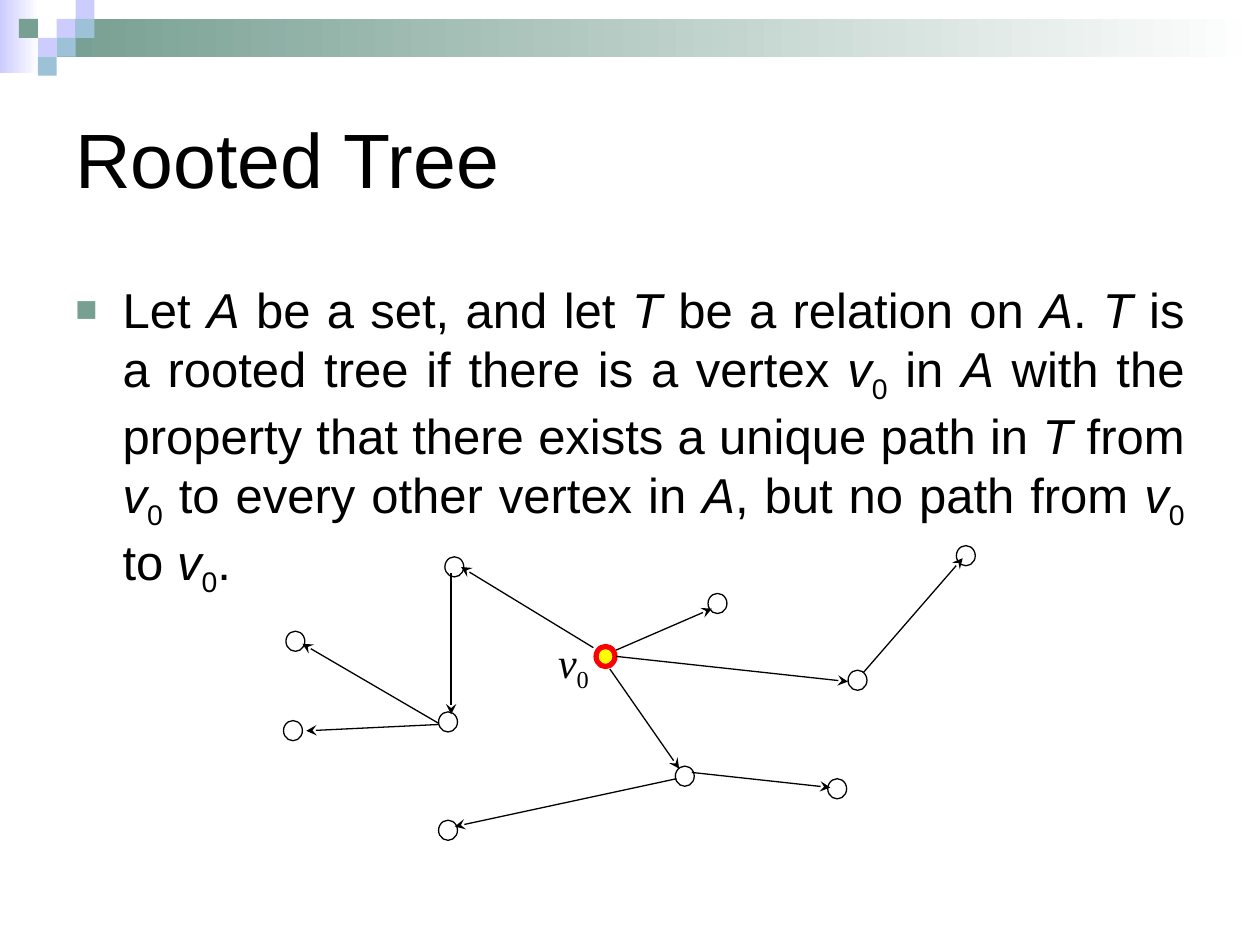
"""Build the Rooted Tree slide."""
from typing import NamedTuple

from lxml.etree import SubElement
from pptx import Presentation
from pptx.dml.color import RGBColor
from pptx.enum.shapes import MSO_CONNECTOR as Connector, MSO_SHAPE as Preset
from pptx.enum.text import MSO_ANCHOR as Anchor, PP_ALIGN as Align
from pptx.oxml.ns import qn
from pptx.util import Pt

COLORS = {
    "black": "000000", "white": "FFFFFF", "red": "FF0000", "yellow": "FFFF00",
    "lilac": "CCCCFF", "green": "779F92", "blue": "9DC2D7",
}
TILE = 10.8
VERTEX_WIDTH, VERTEX_HEIGHT = 10.8, 11.5


class Box(NamedTuple):
    left: float
    top: float
    width: float
    height: float


class Band(NamedTuple):
    box: Box
    color: str


class Tile(NamedTuple):
    column: int
    row: int
    color: str


class Vertex(NamedTuple):
    left: float
    top: float
    fill: str = "white"
    line: str = "black"
    weight: float = 0.74


class Edge(NamedTuple):
    start_x: float
    start_y: float
    end_x: float
    end_y: float


class Piece(NamedTuple):
    text: str
    italic: bool = False
    baseline: int = 0


class Style(NamedTuple):
    font: str
    size: float
    space_before: float = 0


BANDS = [
    Band(Box(0, 0, 22.3, 41.8), "lilac"),
    Band(Box(32.4, 10.8, 687.6, 21.6), "green"),
]
TILES = [
    Tile(3, 1, "lilac"), Tile(4, 0, "lilac"), Tile(4, 1, "blue"), Tile(2, 2, "lilac"),
    Tile(1, 1, "green"), Tile(3, 2, "blue"), Tile(2, 3, "blue"),
]
VERTICES = [
    Vertex(163.4, 360.7), Vertex(250.6, 468.7), Vertex(250.6, 406.8),
    Vertex(254.2, 318.2), Vertex(340.6, 369.4, "yellow", "red", 3),
    Vertex(385.9, 437.8), Vertex(404.6, 339.1), Vertex(484.6, 383),
    Vertex(546.5, 311.8), Vertex(473, 445), Vertex(162, 411.8),
]
EDGES = [
    Edge(352.1, 371.5, 406.8, 347.8), Edge(348.5, 382.3, 388.1, 439.2),
    Edge(339.1, 370.1, 263.5, 324), Edge(257.8, 327.6, 257.8, 408.2),
    Edge(250.6, 413.3, 172.8, 367.9), Edge(493.2, 384.5, 550.1, 319),
    Edge(395.3, 441.4, 474.5, 450), Edge(386.6, 445, 259.9, 472.3),
    Edge(250.6, 414, 175, 417.6), Edge(352.1, 375.1, 484.6, 389.5),
]
SET_A, TREE = Piece("A", True), Piece("T", True)
ROOT = [Piece("v", True), Piece("0", baseline=-25000)]
DEFINITION = [
    Piece("Let "), SET_A, Piece(" be a set, and let "), TREE,
    Piece(" be a relation on "), SET_A, Piece(". "), TREE,
    Piece(" is a rooted tree if there is a vertex "), *ROOT, Piece(" in "), SET_A,
    Piece(" with the property that there exists a unique path in "), TREE,
    Piece(" from "), *ROOT, Piece(" to every other vertex in "), SET_A,
    Piece(", but no path from "), *ROOT, Piece(" to "), *ROOT, Piece("."),
]


def rgb(name: str) -> RGBColor:
    return RGBColor.from_string(COLORS[name])


def add_preset(slide, preset, box: Box):
    shape = slide.shapes.add_shape(preset, *map(Pt, box))
    shape.shadow.inherit = False
    shape.line.fill.background()
    return shape


def add_band(slide, band: Band) -> None:
    fill = add_preset(slide, Preset.RECTANGLE, band.box).fill
    fill.gradient()
    fill.gradient_angle = 0
    for stop, color in zip(fill.gradient_stops, (band.color, "white")):
        stop.color.rgb = rgb(color)


def add_tile(slide, tile: Tile) -> None:
    box = Box(tile.column * TILE, tile.row * TILE, TILE, TILE)
    shape = add_preset(slide, Preset.RECTANGLE, box)
    shape.fill.solid()
    shape.fill.fore_color.rgb = rgb(tile.color)


def add_vertex(slide, vertex: Vertex) -> None:
    box = Box(vertex.left, vertex.top, VERTEX_WIDTH, VERTEX_HEIGHT)
    shape = add_preset(slide, Preset.OVAL, box)
    shape.fill.solid()
    shape.fill.fore_color.rgb = rgb(vertex.fill)
    shape.line.color.rgb = rgb(vertex.line)
    shape.line.width = Pt(vertex.weight)


def add_edge(slide, edge: Edge) -> None:
    connector = slide.shapes.add_connector(Connector.STRAIGHT, *map(Pt, edge))
    connector.line.color.rgb = rgb("black")
    connector.line.width = Pt(0.74)
    properties = connector._element.spPr
    SubElement(properties.find(qn("a:ln")), qn("a:tailEnd"), type="stealth")
    SubElement(properties, qn("a:effectLst"))


def add_text(slide, box: Box, pieces: list[Piece], style: Style, anchor=Anchor.TOP):
    frame = slide.shapes.add_textbox(*map(Pt, box)).text_frame
    frame.word_wrap = True
    frame.vertical_anchor = anchor
    paragraph = frame.paragraphs[0]
    paragraph.space_before = Pt(style.space_before)
    for piece in pieces:
        run = paragraph.add_run()
        run.text = piece.text
        run.font.name = style.font
        run.font.size = Pt(style.size)
        run.font.italic = piece.italic
        run.font.color.rgb = rgb("black")
        if piece.baseline:
            run._r.get_or_add_rPr().set("baseline", str(piece.baseline))
    return paragraph


def add_bullet(paragraph, indent: float) -> None:
    paragraph.alignment = Align.JUSTIFY
    properties = paragraph._p.get_or_add_pPr()
    properties.set("marL", str(Pt(indent)))
    properties.set("indent", str(-Pt(indent)))
    color = SubElement(properties, qn("a:buClr"))
    SubElement(color, qn("a:srgbClr"), val=COLORS["green"])
    SubElement(properties, qn("a:buSzPct"), val="75000")
    SubElement(properties, qn("a:buFont"), typeface="Arial")
    SubElement(properties, qn("a:buChar"), char="■")


def main() -> None:
    presentation = Presentation()
    presentation.slide_width, presentation.slide_height = Pt(720), Pt(540)
    slide = presentation.slides.add_slide(presentation.slide_layouts[6])
    for band in BANDS:
        add_band(slide, band)
    for tile in TILES:
        add_tile(slide, tile)
    add_text(slide, Box(36, 36, 648, 108), [Piece("Rooted Tree")],
             Style("Arial", 44), Anchor.MIDDLE)
    definition = add_text(slide, Box(36, 156.2, 648, 306), DEFINITION, Style("Arial", 28, 7))
    add_bullet(definition, 27)
    for vertex in VERTICES:
        add_vertex(slide, vertex)
    for edge in EDGES:
        add_edge(slide, edge)
    add_text(slide, Box(311.8, 360, 66.2, 40.3), ROOT, Style("Times New Roman", 24, 15))
    presentation.save("out.pptx")


main()
